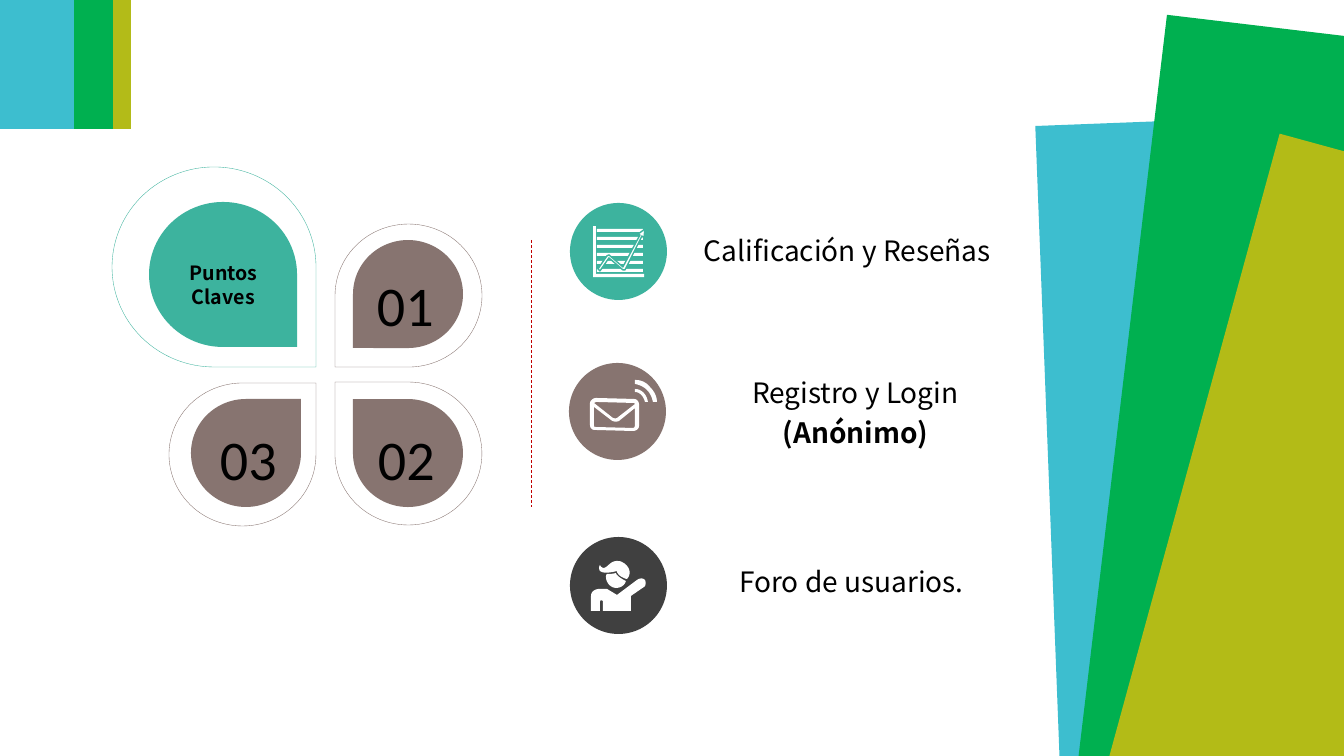
from pptx import Presentation
from pptx.util import Pt
from pptx.dml.color import RGBColor as Color
from pptx.enum.dml import MSO_LINE as Dash
from pptx.enum.shapes import MSO_SHAPE as Preset, MSO_CONNECTOR as Connector
from pptx.enum.text import PP_ALIGN as Align
from pptx.oxml.ns import qn
from lxml.etree import SubElement

COLORS = {
    "cyan": "3DBECF", "green": "00B050", "olive": "B3BB18", "amber": "FFC000",
    "teal": "3DB39E", "brown": "877470", "dark": "404040",
    "white": "FFFFFF", "black": "000000", "red": "C00000",
}
SANS, DIGITS = "Noto Sans CJK SC", "Calibri"
PIXEL = 914400 / 100.8
CURVE_STEPS = 8

PERSON = [
    [(75, 43), (73, 41, 70, 41, 67, 43), (47, 58), (37, 52), (29, 52),
     (26, 52, 21, 54, 21, 59), (21, 74), (30, 74), (30, 65), (30, 62, 33, 64, 33, 64),
     (33, 74), (61, 74), (61, 59), (74, 50), (76, 49, 76, 45, 75, 43)],
    [(47, 34), (47, 34, 46, 35, 50, 39), (52, 40, 55, 42, 57, 42), (62, 37, 60, 29, 52, 25),
     (50, 24, 45, 23, 41, 26), (37, 29, 37, 30, 34, 31), (31, 31, 30, 28, 30, 28),
     (30, 28, 28, 31, 30, 34), (34, 38, 47, 34, 47, 34)],
    [(46, 36), (43, 37, 40, 37, 37, 37), (36, 38, 36, 39, 36, 40), (36, 46, 41, 51, 46, 51),
     (51, 51, 55, 48, 56, 44), (53, 43, 51, 41, 49, 40), (47, 38, 46, 37, 46, 36)],
]
ENVELOPE = [
    [(65, 36), (27, 35), (24, 35, 21, 38, 21, 40), (21, 62), (21, 65, 23, 67, 26, 67),
     (64, 68), (67, 68, 70, 66, 70, 63), (70, 41), (70, 39, 68, 36, 65, 36)],
    [(27, 39), (65, 40), (66, 41), (48, 55), (46, 56, 45, 55, 44, 55), (25, 40)],
    [(64, 65), (26, 64), (25, 64, 25, 63, 25, 62), (25, 44), (42, 57),
     (44, 59, 48, 59, 50, 58), (66, 45), (66, 62), (66, 64, 65, 65, 64, 65)],
]
WAVES = [
    [(66, 21), (71, 22, 75, 24, 78, 27), (81, 30, 83, 34, 84, 39), (88, 39),
     (88, 33, 85, 28, 81, 24), (77, 19, 72, 17, 66, 17)],
    [(66, 29), (71, 29, 75, 34, 76, 39), (79, 39), (78, 32, 73, 26, 66, 26)],
]
AXES = [[(23, 23), (26, 23), (26, 71), (74, 71), (74, 74), (23, 74)]]
TREND = [[(75, 26), (67, 32), (70, 32), (53, 64), (39, 52), (37, 53), (28, 66),
          (30, 68), (39, 55), (53, 67), (55, 67), (72, 33), (74, 35)]]


def emu(length):
    return round(length * PIXEL)


def paint(shape, fill=None, line=None, width=0.25, alpha=None):
    shape.shadow.inherit = False
    if fill:
        shape.fill.solid()
        shape.fill.fore_color.rgb = Color.from_string(COLORS[fill])
        if alpha:
            color = shape.fill._xPr.find(qn("a:solidFill"))[0]
            SubElement(color, qn("a:alpha"), val=str(alpha * 1000))
    else:
        shape.fill.background()
    if line:
        shape.line.color.rgb = Color.from_string(COLORS[line])
        shape.line.width = Pt(width)
    else:
        shape.line.fill.background()


def add_preset(page, preset, box, turn=0, **look):
    shape = page.shapes.add_shape(preset, *map(emu, box))
    shape.rotation = turn
    paint(shape, **look)


def add_drop(page, box, turn, **look):
    left, top, width, height = box
    if turn % 180:
        left, top = left + (width - height) / 2, top + (height - width) / 2
        width, height = height, width
    add_preset(page, Preset.TEAR, (left, top, width, height), turn, **look)


def flatten(contour):
    points = [contour[0]]
    for step in contour[1:]:
        if len(step) == 2:
            points.append(step)
            continue
        ends = [points[-1], step[:2], step[2:4], step[4:]]
        for index in range(1, CURVE_STEPS + 1):
            t = index / CURVE_STEPS
            weights = ((1 - t) ** 3, 3 * t * (1 - t) ** 2, 3 * t * t * (1 - t), t ** 3)
            points.append(tuple(sum(w * end[axis] for w, end in zip(weights, ends))
                                for axis in (0, 1)))
    return points


def add_outline(page, origin, contours, **look):
    builder = None
    for contour in contours:
        points = [(emu(origin[0] + x), emu(origin[1] + y)) for x, y in flatten(contour)]
        if builder:
            builder.move_to(*points[0])
        else:
            builder = page.shapes.build_freeform(*points[0])
        builder.add_line_segments(points[1:], close=True)
    paint(builder.convert_to_shape(), **look)


def add_text(page, box, text, size, font=SANS, bold_lines=(), align=Align.CENTER, spacing=None):
    frame = page.shapes.add_textbox(*map(emu, box)).text_frame
    frame.word_wrap = True
    for index, line in enumerate(text.split("\n")):
        para = frame.paragraphs[0] if index == 0 else frame.add_paragraph()
        para.alignment = align
        para.line_spacing = spacing
        span = para.add_run()
        span.text = line
        span.font.size = Pt(size)
        span.font.name = font
        span.font.bold = index in bold_lines
        span.font.color.rgb = Color.from_string(COLORS["black"])


def draw_corner_bands(page, left, top):
    for x, y, width, height, fill in ((38, -2, 93, 131, "olive"), (16, -1, 97, 130, "green"),
                                      (0, 0, 74, 129, "cyan")):
        add_preset(page, Preset.RECTANGLE, (left + x, top + y, width, height), fill=fill)


def draw_side_panels(page, left, top):
    for x, y, width, height, turn, fill, alpha in (
            (0, 74, 404, 667, 357.8, "cyan", None),
            (70, 0, 540, 796, 6.8, "green", None),
            (70, 213, 716, 603, 285.3, "amber", 70)):
        add_preset(page, Preset.RECTANGLE, (left + x, top + y, width, height), turn,
                   fill=fill, alpha=alpha)


def draw_petals(page, left, top):
    add_drop(page, (left, top, 204, 200), 90, line="teal")
    add_drop(page, (left + 37, top + 35, 148, 145), 90, fill="teal")
    add_text(page, (left + 43, top + 89, 137, 57), "Puntos\nClaves", 14, bold_lines=(0, 1))
    for label, turn, ring, core, number in (
            ("01", 180, (223, 57), (241, 73), (255, 99)),
            ("02", 270, (223, 215), (241, 232), (256, 253)),
            ("03", 0, (57, 216), (79, 232), (98, 253))):
        add_drop(page, (left + ring[0], top + ring[1], 147, 143), turn, line="brown")
        add_drop(page, (left + core[0], top + core[1], 110, 108), turn, fill="brown")
        add_text(page, (left + number[0], top + number[1], 93, 78), label, 40,
                 font=DIGITS, align=Align.LEFT)


def draw_divider(page, x, top, bottom):
    divider = page.shapes.add_connector(Connector.STRAIGHT, *map(emu, (x, top, x, bottom)))
    divider.line.color.rgb = Color.from_string(COLORS["red"])
    divider.line.width = Pt(0.5)
    divider.line.dash_style = Dash.DASH
    SubElement(divider._element.spPr, qn("a:effectLst"))


def draw_chart_icon(page, origin):
    add_outline(page, origin, AXES, fill="white")
    for row in range(6):
        add_preset(page, Preset.RECTANGLE, (origin[0] + 27, origin[1] + 26 + 8 * row, 46, 3),
                   fill="white")
    add_outline(page, origin, TREND, fill="white", line="teal", width=1)


def draw_mail_icon(page, origin):
    for wave in WAVES:
        add_outline(page, origin, [wave], fill="white")
    add_outline(page, origin, ENVELOPE, fill="white")


def draw_person_icon(page, origin):
    add_outline(page, origin, PERSON, fill="white")


def draw_key_point(page, origin, fill, draw_icon, text, text_box, bold_lines=()):
    add_preset(page, Preset.OVAL, (*origin, 97, 97), fill=fill)
    draw_icon(page, origin)
    x, y, width, height = text_box
    add_text(page, (origin[0] + x, origin[1] + y, width, height), text, 20,
             bold_lines=bold_lines, spacing=1.2)


deck = Presentation()
deck.slide_width, deck.slide_height = emu(1344), emu(756)
page = deck.slides.add_slide(deck.slide_layouts[6])
draw_corner_bands(page, 0, 0)
draw_side_panels(page, 1048, 44)
draw_petals(page, 112, 167)
draw_divider(page, 531, 240, 507)
draw_key_point(page, (570, 203), "teal", draw_chart_icon,
               "Calificación y Reseñas", (19, 19, 517, 47))
draw_key_point(page, (569, 363), "brown", draw_mail_icon,
               "Registro y Login\n(Anónimo)", (28, 1, 517, 92), bold_lines=(1,))
draw_key_point(page, (570, 537), "dark", draw_person_icon,
               "Foro de usuarios.", (24, 16, 515, 47))
deck.save("out.pptx")
